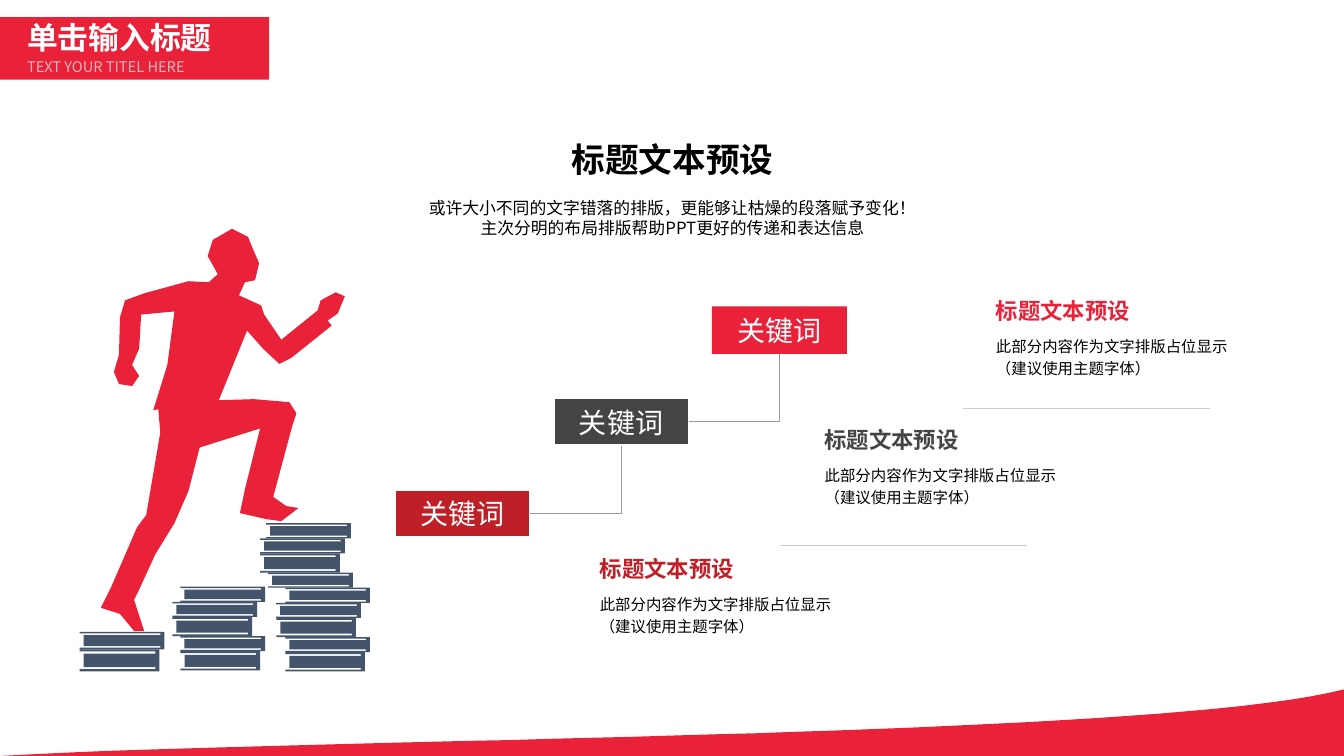
import pptx
import pptx.dml.color
import pptx.enum.shapes
import pptx.enum.text
import pptx.oxml.ns
import pptx.util
from lxml import etree

FONT = "Noto Sans CJK SC"
RED, DARK_RED, GRAY, SLATE = "E92139", "BF1F26", "464346", "44546A"
WHITE, BLACK = "FFFFFF", "000000"
align = pptx.enum.text.PP_ALIGN
anchor = pptx.enum.text.MSO_ANCHOR
kinds = pptx.enum.shapes.MSO_CONNECTOR
qn = pptx.oxml.ns.qn


def color(hex_string):
    return pptx.dml.color.RGBColor.from_string(hex_string)


def write(shape, text, size, text_color, bold=False, alignment=align.LEFT,
          vertical=anchor.TOP, wrap=False, spacing=1.0):
    frame = shape.text_frame
    frame.text = text
    frame.word_wrap = wrap
    frame.auto_size = pptx.enum.text.MSO_AUTO_SIZE.NONE
    frame.vertical_anchor = vertical
    paragraph = frame.paragraphs[0]
    paragraph.alignment = alignment
    paragraph.line_spacing = spacing
    for run in paragraph.runs:
        run.font.size = pptx.util.Pt(size)
        run.font.bold = bold
        run.font.color.rgb = color(text_color)
        run.font.name = FONT
        properties = run.font._element
        etree.SubElement(properties, qn("a:ea")).set("typeface", FONT)


# Grid: 1333 columns by 750 rows, one cell is a hundredth of an inch
presentation = pptx.Presentation()
cell = pptx.util.Inches(0.01)
COLUMNS, ROWS = 1333, 750
presentation.slide_width = COLUMNS * cell
presentation.slide_height = ROWS * cell
slide = presentation.slides.add_slide(presentation.slide_layouts[5])
shapes = slide.shapes

# Title banner
banner = shapes.add_shape(pptx.enum.shapes.MSO_SHAPE.RECTANGLE, 0, 17 * cell, 267 * cell, 62 * cell)
banner.shadow.inherit = False
banner.fill.solid()
banner.fill.fore_color.rgb = color(RED)
banner.line.fill.background()

caption = shapes.add_textbox(17 * cell, 52 * cell, 205 * cell, 28 * cell)
write(caption, "TEXT YOUR TITEL HERE", 10.5, "D9D9D9", alignment=align.JUSTIFY, wrap=True)
caption_color = caption._element.find(".//" + qn("a:srgbClr"))
etree.SubElement(caption_color, qn("a:alpha")).set("val", "82000")

title = shapes.title
title.left, title.top, title.width, title.height = 17 * cell, 14 * cell, 205 * cell, 47 * cell
write(title, "单击输入标题", 22, WHITE, bold=True)
shapes._spTree.append(title._element)  # in front of the banner

# Wave along the bottom: a cubic curve from right to left
wave = [(COLUMNS, ROWS)]
for step in range(41):
    t = step / 40
    weights = ((1 - t) ** 3, 3 * t * (1 - t) ** 2, 3 * t * t * (1 - t), t ** 3)
    wave.append((sum(w * x for w, x in zip(weights, (COLUMNS, 1141, 305, 0))),
                 sum(w * y for w, y in zip(weights, (684, 733, 732, ROWS)))))

# Running man: head, back arm, back leg, front leg, front arm
runner = [
    (237, 293), (243, 280), (253, 278), (257, 261), (250, 245), (246, 235), (230, 227), (211, 238),
    (206, 254), (216, 272), (207, 280), (187, 279), (143, 291), (124, 298), (119, 315), (118, 352),
    (113, 369), (118, 381), (131, 383), (138, 373), (131, 362), (138, 346), (140, 312), (173, 309),
    (166, 362), (152, 407), (157, 406), (159, 429), (145, 511), (136, 523), (110, 583), (100, 603),
    (119, 609), (133, 626), (143, 626), (133, 595), (138, 585), (154, 550), (173, 519), (187, 487),
    (198, 444), (258, 425), (243, 485), (238, 509), (264, 515), (279, 517), (296, 504), (284, 502),
    (271, 493), (290, 422), (294, 410), (287, 399), (252, 396), (217, 397), (226, 375), (245, 328),
    (261, 346), (277, 361), (289, 355), (329, 323), (325, 318), (335, 311), (342, 294), (333, 290),
    (318, 298), (315, 308), (279, 337), (262, 312), (259, 303),
]
outlines = [(wave, "E92239"), (runner, RED)]

# Book stacks, piled from the bottom up: thick (T) and thin (t) books with their shifts
book_sizes = {"T": (79, 19), "t": (84, 15)}
stacks = [
    (79, 666, 1.15, "Tt", [0, 0]),
    (179, 665, 1, "TtTtt", [0, 0, -8, -8, 0]),
    (283, 666, 1, "TtTtttTtt", [0, 0, -9, -9, 0, -17, -25, -25, -19]),
]
for stack_left, bottom, scale, pattern, shifts in stacks:
    for kind, shift in zip(pattern, shifts):
        width, height = book_sizes[kind]
        height *= scale
        left = stack_left + shift
        right, spine, pages = left + width, left + width - 4, left + 4
        rows = [bottom - share * height for share in (1, 0.9, 0.8, 0.18, 0.09, 0)]
        edges = [(right, left), (left, spine), (spine, pages)]
        edges += [edge[::-1] for edge in reversed(edges)]
        outlines.append(([(x, y) for y, edge in zip(rows, edges) for x in edge], SLATE))
        bottom -= height

# Quarter-cell precision for the outlines
for points, fill in outlines:
    corners = [(4 * x, 4 * y) for x, y in points]
    builder = shapes.build_freeform(*corners[0], scale=cell / 4)
    builder.add_line_segments(corners[1:], close=True)
    outline = builder.convert_to_shape()
    outline.shadow.inherit = False
    outline.fill.solid()
    outline.fill.fore_color.rgb = color(fill)
    outline.line.fill.background()

# Main heading
heading = shapes.add_textbox(387 * cell, 131 * cell, 560 * cell, 53 * cell)
write(heading, "标题文本预设", 24, BLACK, bold=True, alignment=align.CENTER, vertical=anchor.MIDDLE)
summary = shapes.add_textbox(387 * cell, 184 * cell, 560 * cell, 64 * cell)
write(summary, "或许大小不同的文字错落的排版，更能够让枯燥的段落赋予变化！\v主次分明的布局排版帮助PPT更好的传递和表达信息",
      12, BLACK, alignment=align.CENTER, vertical=anchor.MIDDLE, wrap=True)

# Keyword steps, rising to the right, each with its description
keywords = []
for step, (fill, text_left) in enumerate([(DARK_RED, 585), (GRAY, 808), (RED, 978)]):
    keyword = shapes.add_shape(pptx.enum.shapes.MSO_SHAPE.RECTANGLE, (392 + 157 * step) * cell,
                               (486 - 91 * step) * cell, 134 * cell, 47 * cell)
    keyword.shadow.inherit = False
    keyword.fill.solid()
    keyword.fill.fore_color.rgb = color(fill)
    if fill == RED:
        keyword.line.fill.background()
    else:
        keyword.line.color.rgb = color(WHITE)
        keyword.line.width = pptx.util.Pt(1.5)
    write(keyword, "关键词", 20, WHITE, alignment=align.CENTER, vertical=anchor.MIDDLE)
    keywords.append(keyword)

    text_top = 547 - 128 * step
    label = shapes.add_textbox(text_left * cell, text_top * cell, 255 * cell, 35 * cell)
    write(label, "标题文本预设", 16, fill, bold=True, vertical=anchor.BOTTOM)
    body = shapes.add_textbox(text_left * cell, (text_top + 35) * cell, 255 * cell, 79 * cell)
    write(body, "此部分内容作为文字排版占位显示\v（建议使用主题字体）", 11, BLACK, wrap=True, spacing=1.2)

# Elbows between the steps, and rules between the descriptions
connectors = []
for lower, upper in zip(keywords, keywords[1:]):
    elbow = shapes.add_connector(kinds.ELBOW, 0, 0, 0, 0)
    elbow.begin_connect(lower, 3)
    elbow.end_connect(upper, 2)
    elbow._element.spPr.find(qn("a:prstGeom")).set("prst", "bentConnector2")
    connectors.append((elbow, "999999"))
for left, top in [(774, 541), (955, 405)]:
    rule = shapes.add_connector(kinds.STRAIGHT, left * cell, top * cell, (left + 245) * cell, top * cell)
    connectors.append((rule, "CCCCCC"))
for connector, line_color in connectors:
    connector.line.color.rgb = color(line_color)
    connector.line.width = pptx.util.Pt(0.5)
    etree.SubElement(connector._element.spPr, qn("a:effectLst"))

presentation.save("out.pptx")
